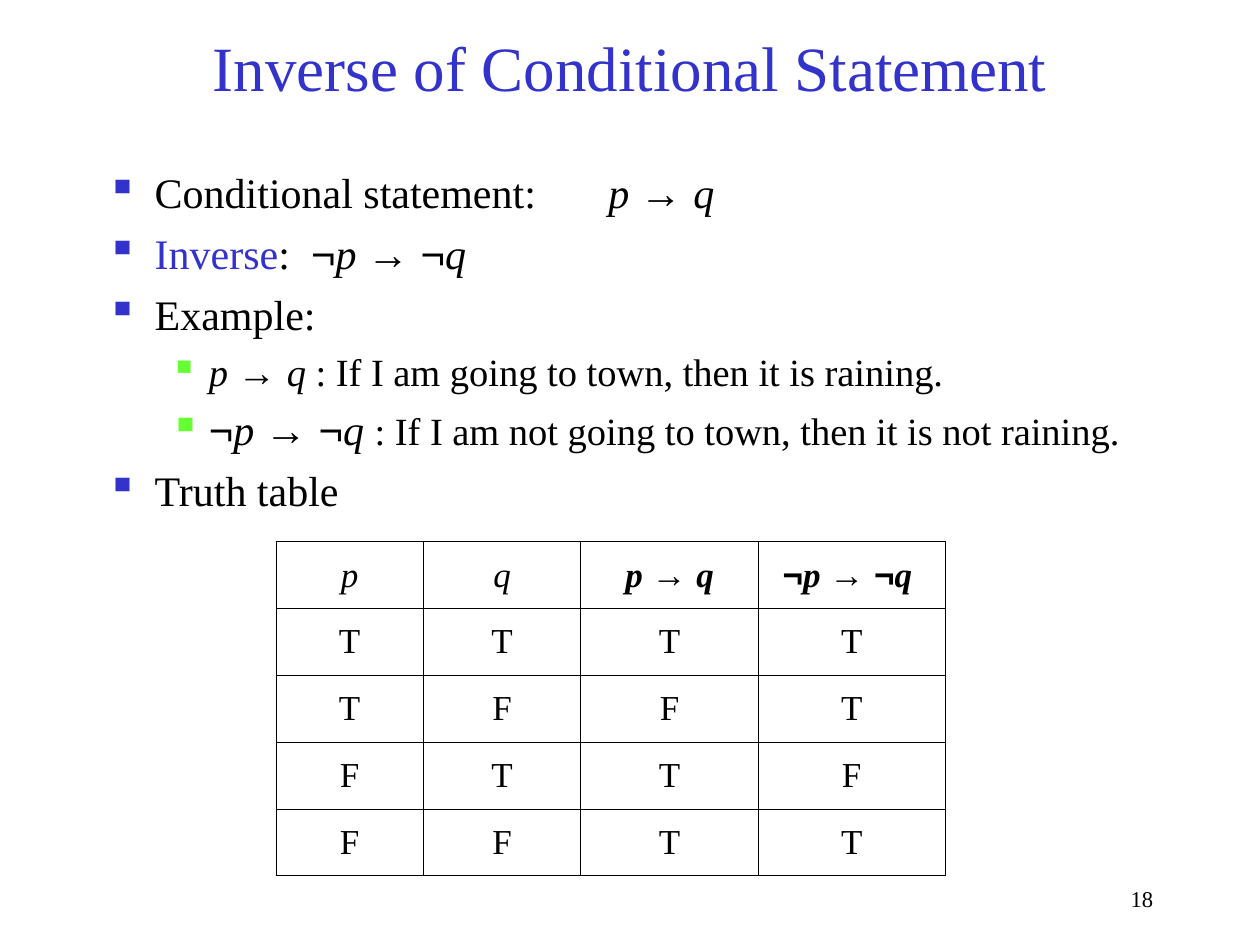
import pptx
import pptx.dml.color
import pptx.enum.text
import pptx.oxml
import pptx.oxml.ns
import pptx.util
from pptx.util import Inches

THEME = {
    "text_font": "Times New Roman", "symbol_font": "Arial",
    "text": "000000", "accent": "3333CC", "sub_bullet": "66FF33", "paper": "FFFFFF",
    "title_size": 36, "body_size": 24, "sub_size": 22, "table_size": 20, "number_size": 12.9,
    "border_width": 0.45,
}

# Content: every text is a list of (text, style) runs
TITLE = "Inverse of Conditional Statement"
SLIDE_NUMBER = "18"
CONDITIONAL = [("p ", "variable"), ("→ ", "symbol"), ("q", "variable")]
INVERSE = [("¬", "symbol"), ("p ", "variable"), ("→ ¬", "symbol"), ("q ", "variable")]

# (level, formula size, text size, runs)
BODY, SUB = THEME["body_size"], THEME["sub_size"]
BULLETS = [
    (0, BODY, BODY, [("Conditional statement:\t", "plain")] + CONDITIONAL),
    (0, BODY, BODY, [("Inverse", "accent"), (":  ", "plain")] + INVERSE),
    (0, BODY, BODY, [("Example:", "plain")]),
    (1, SUB, SUB, CONDITIONAL + [(" : If I am going to town, then it is raining.", "plain")]),
    (1, BODY, SUB, INVERSE + [(": If I am not going to town, then it is not raining.", "plain")]),
    (0, BODY, BODY, [("Truth table", "plain")]),
]
HEADINGS = [([("p", "variable")], False), ([("q", "variable")], False),
            (CONDITIONAL, True), (INVERSE, True)]
TRUTH_VALUES = ["TTTT", "TFFT", "FTTF", "FFTT"]

# Layout
FORMULA_TAB = 3.98
LEVELS = [  # left margin, hanging indent, space before, bullet colour
    (0.38, 0.38, 6, THEME["accent"]),
    (0.81, 0.31, 5.5, THEME["sub_bullet"]),
]
COLUMN_WIDTHS = [1.17, 1.25, 1.41, 1.48]
ROW_HEIGHT = 0.53


def color(name):
    return pptx.dml.color.RGBColor.from_string(THEME[name])


def add_element(parent, xml):
    namespaces = pptx.oxml.ns.nsdecls("a")
    parent.append(pptx.oxml.parse_xml(xml.replace(">", f" {namespaces}>", 1)))


def add_runs(paragraph, runs, formula_size, text_size, bold=False):
    for text, style in runs:
        run = paragraph.add_run()
        run.text = text
        font = run.font
        font.name = THEME["symbol_font" if style == "symbol" else "text_font"]
        font.size = pptx.util.Pt(formula_size if style in ("symbol", "variable") else text_size)
        font.italic = style == "variable"
        font.bold = bold
        font.color.rgb = color("accent" if style == "accent" else "text")


def format_bullet(paragraph, level, first):
    margin, hanging, space_before, bullet_color = LEVELS[level]
    paragraph.level = level
    properties = paragraph._p.get_or_add_pPr()
    properties.set("marL", str(Inches(margin)))
    properties.set("indent", str(-Inches(hanging)))
    add_element(properties, f'<a:buClr><a:srgbClr val="{bullet_color}"/></a:buClr>')
    add_element(properties, '<a:buChar char="▪"></a:buChar>')
    if first:
        add_element(properties, f'<a:tabLst><a:tab pos="{Inches(FORMULA_TAB)}" algn="l"/></a:tabLst>')
    else:
        paragraph.space_before = pptx.util.Pt(space_before)


def format_cell(cell):
    cell.fill.solid()
    cell.fill.fore_color.rgb = color("paper")
    cell.vertical_anchor = pptx.enum.text.MSO_ANCHOR.MIDDLE
    properties = cell._tc.get_or_add_tcPr()
    width = pptx.util.Pt(THEME["border_width"])
    for index, side in enumerate(("lnL", "lnR", "lnT", "lnB")):
        border = pptx.oxml.parse_xml(
            f'<a:{side} {pptx.oxml.ns.nsdecls("a")} w="{width}"><a:solidFill>'
            f'<a:srgbClr val="{THEME["text"]}"/></a:solidFill></a:{side}>')
        properties.insert(index, border)


def add_title(slide):
    title = slide.shapes.title
    title.left, title.top, title.width, title.height = map(Inches, (0.75, 0.13, 8.5, 0.79))
    title.text_frame.text = TITLE
    title.text_frame.vertical_anchor = pptx.enum.text.MSO_ANCHOR.MIDDLE
    paragraph = title.text_frame.paragraphs[0]
    paragraph.alignment = pptx.enum.text.PP_ALIGN.CENTER
    font = paragraph.runs[0].font
    font.name = THEME["text_font"]
    font.size = pptx.util.Pt(THEME["title_size"])
    font.color.rgb = color("accent")


def add_bullets(slide):
    box = slide.shapes.add_textbox(Inches(0.75), Inches(1.27), Inches(8.5), Inches(2.95))
    frame = box.text_frame
    frame.word_wrap = True
    for index, (level, formula_size, text_size, runs) in enumerate(BULLETS):
        paragraph = frame.add_paragraph() if index else frame.paragraphs[0]
        format_bullet(paragraph, level, first=index == 0)
        add_runs(paragraph, runs, formula_size, text_size)


def add_truth_table(slide):
    rows = [HEADINGS] + [[([(value, "plain")], False) for value in row] for row in TRUTH_VALUES]
    table = slide.shapes.add_table(
        len(rows), len(COLUMN_WIDTHS), Inches(2.19), Inches(4.3),
        Inches(sum(COLUMN_WIDTHS)), Inches(ROW_HEIGHT * len(rows))).table
    table.first_row = table.horz_banding = False
    for column, width in zip(table.columns, COLUMN_WIDTHS):
        column.width = Inches(width)
    for row_index, row in enumerate(rows):
        table.rows[row_index].height = Inches(ROW_HEIGHT)
        for column_index, (runs, bold) in enumerate(row):
            cell = table.cell(row_index, column_index)
            format_cell(cell)
            paragraph = cell.text_frame.paragraphs[0]
            paragraph.alignment = pptx.enum.text.PP_ALIGN.CENTER
            add_runs(paragraph, runs, THEME["table_size"], THEME["table_size"], bold)


def add_slide_number(slide):
    box = slide.shapes.add_textbox(Inches(7.67), Inches(7), Inches(1.58), Inches(0.33))
    box.text_frame.word_wrap = True
    paragraph = box.text_frame.paragraphs[0]
    paragraph.alignment = pptx.enum.text.PP_ALIGN.RIGHT
    paragraph.line_spacing = 0.9
    add_runs(paragraph, [(SLIDE_NUMBER, "plain")], THEME["number_size"], THEME["number_size"])


def main():
    presentation = pptx.Presentation()
    presentation.slide_width, presentation.slide_height = Inches(10), Inches(7.5)
    slide = presentation.slides.add_slide(presentation.slide_layouts.get_by_name("Title Only"))
    add_title(slide)
    add_bullets(slide)
    add_truth_table(slide)
    add_slide_number(slide)
    presentation.save("out.pptx")


if __name__ == "__main__":
    main()
